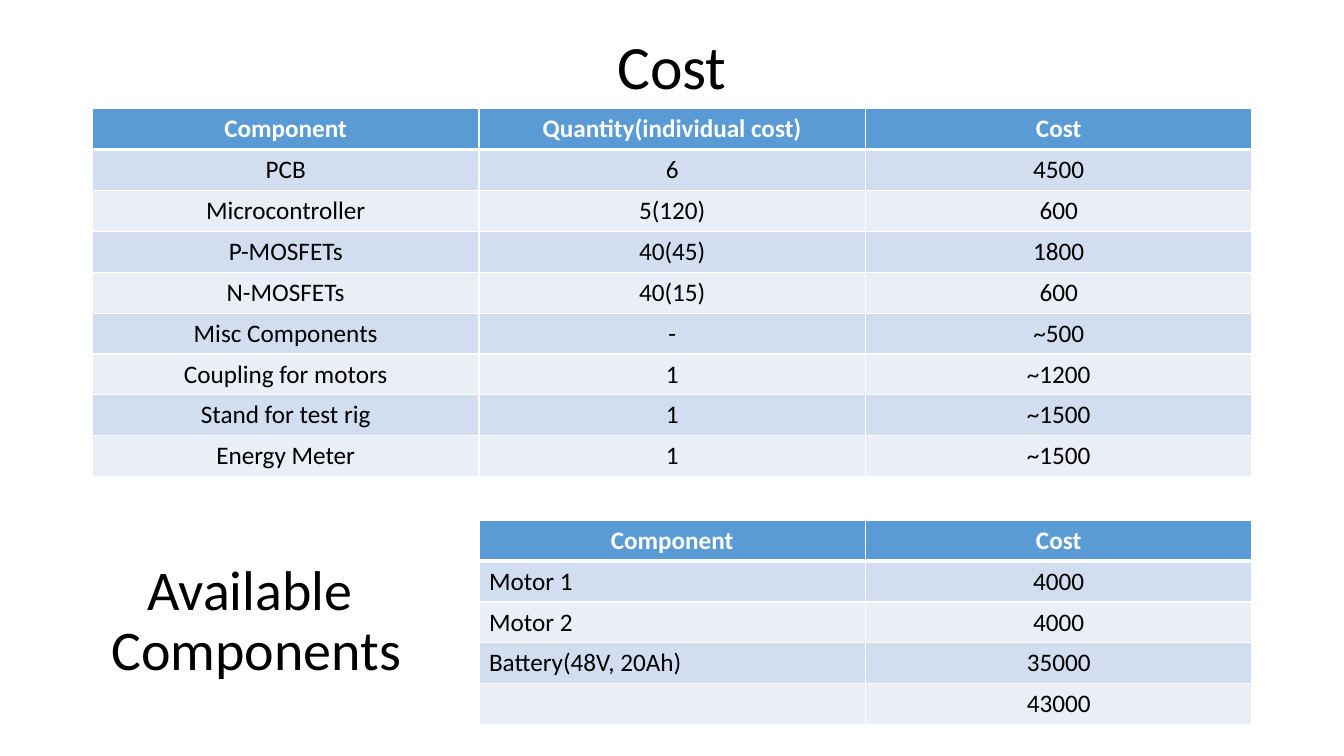
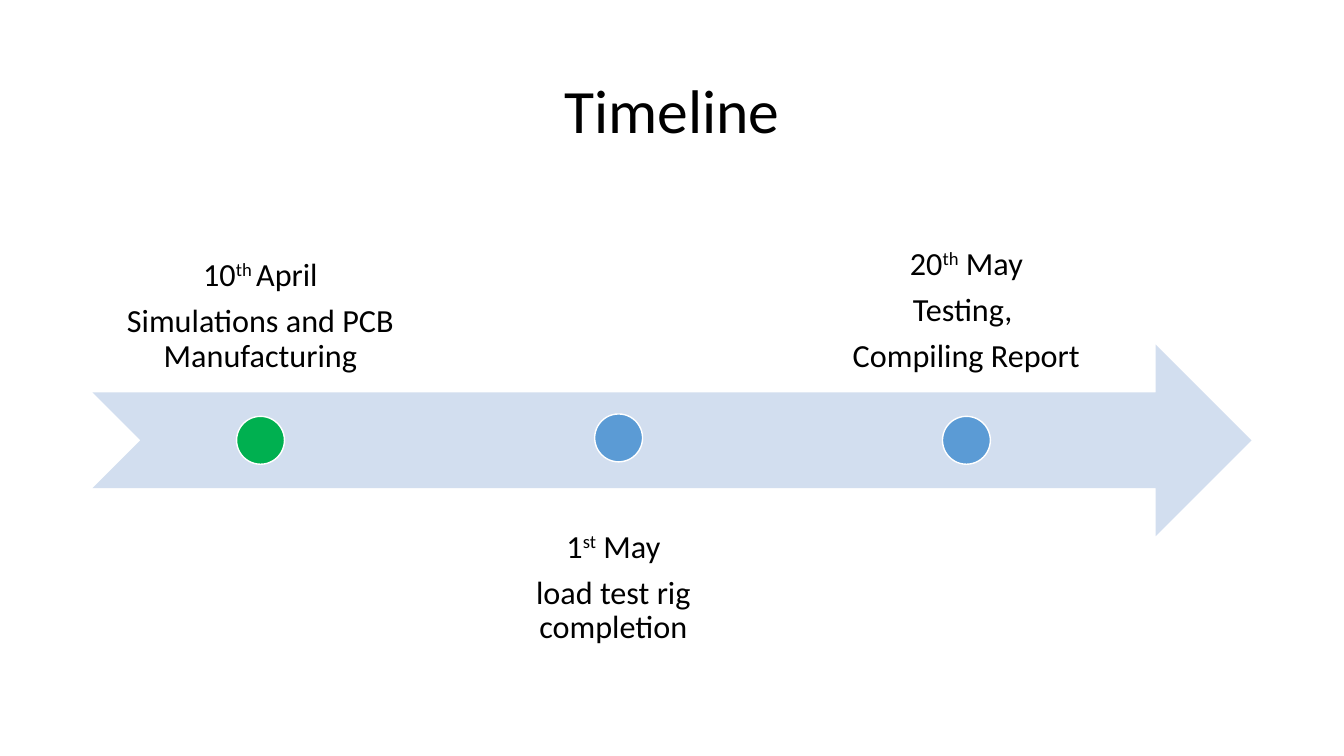
from lxml import etree
from pptx import Presentation
from pptx.dml.color import RGBColor
from pptx.enum import shapes, text
from pptx.oxml.ns import qn
from pptx.util import Cm, Pt

COLORS = {
    "text": "000000",
    "white": "FFFFFF",
    "accent": "5B9BD5",
    "band_dark": "D2DEEF",
    "band_light": "EAEFF7",
    "done": "00B050",
}
FONT = "Calibri"
LEFT, WIDTH = 2.33, 29.21
TITLE_H = 3.68
COL_W, ROW_H = 9.74, 1.03
CENTER, START = text.PP_ALIGN.CENTER, text.PP_ALIGN.LEFT
TOP, MIDDLE, BOTTOM = (text.MSO_ANCHOR.TOP, text.MSO_ANCHOR.MIDDLE,
                       text.MSO_ANCHOR.BOTTOM)

COSTS = [
    ("Component", "Quantity(individual cost)", "Cost"),
    ("PCB", "6", "4500"),
    ("Microcontroller", "5(120)", "600"),
    ("P-MOSFETs", "40(45)", "1800"),
    ("N-MOSFETs", "40(15)", "600"),
    ("Misc Components", "-", "~500"),
    ("Coupling for motors", "1", "~1200"),
    ("Stand for test rig", "1", "~1500"),
    ("Energy Meter", "1", "~1500"),
]
AVAILABLE = [
    ("Component", "Cost"),
    ("Motor 1", "4000"),
    ("Motor 2", "4000"),
    ("Battery(48V, 20Ah)", "35000"),
    ("", "43000"),
]
# day, ordinal, month, description lines, dot colour, dot shift (x, y)
MILESTONES = [
    ("10", "th ", "April", ["Simulations and PCB Manufacturing"], "done", (0, 0)),
    ("1", "st", " May", ["load test rig completion"], "accent", (0.13, -0.06)),
    ("20", "th", " May", ["Testing, ", "Compiling Report"], "accent", (0, 0)),
]


def rgb(name):
    return RGBColor.from_string(COLORS[name])


def style_paragraph(p, size, color="text", bold=False, align=CENTER):
    p.alignment = align
    p.font.name, p.font.size, p.font.bold = FONT, Pt(size), bold
    p.font.color.rgb = rgb(color)


def add_text(s, box, paragraphs, size, anchor=MIDDLE, inset=None, after=0):
    """Each paragraph is a list of (text, is_superscript) runs."""
    tf = s.shapes.add_textbox(*map(Cm, box)).text_frame
    tf.word_wrap = True
    tf.vertical_anchor = anchor
    if inset is not None:
        tf.margin_left = tf.margin_right = Cm(inset)
        tf.margin_top = tf.margin_bottom = Cm(inset)
    for i, runs in enumerate(paragraphs):
        p = tf.add_paragraph() if i else tf.paragraphs[0]
        style_paragraph(p, size)
        p.line_spacing = 0.9
        p.space_after = Pt(after)
        for content, superscript in runs:
            r = p.add_run()
            r.text = content
            if superscript:
                r._r.get_or_add_rPr().set("baseline", "30000")


def add_title(s, title, top):
    add_text(s, (LEFT, top, WIDTH, TITLE_H), [[(title, False)]], 44)


def add_solid(s, kind, box, fill, line=None):
    sp = s.shapes.add_shape(kind, *map(Cm, box))
    sp.shadow.inherit = False
    sp.fill.solid()
    sp.fill.fore_color.rgb = rgb(fill)
    if line:
        sp.line.color.rgb = rgb(line)
        sp.line.width = Pt(1)
    else:
        sp.line.fill.background()


def set_borders(cell, bottom):
    tcPr = cell._tc.get_or_add_tcPr()
    for i, (side, width) in enumerate(
            [("lnL", 1), ("lnR", 1), ("lnT", 1), ("lnB", bottom)]):
        ln = etree.Element(qn(f"a:{side}"), w=str(Pt(width)))
        fill = etree.SubElement(ln, qn("a:solidFill"))
        etree.SubElement(fill, qn("a:srgbClr"), val=COLORS["white"])
        tcPr.insert(i, ln)


def add_cost_table(s, left, top, rows, first_align=CENTER):
    n_rows, n_cols = len(rows), len(rows[0])
    table = s.shapes.add_table(n_rows, n_cols, Cm(left), Cm(top),
                               Cm(COL_W * n_cols), Cm(ROW_H * n_rows)).table
    for i, row in enumerate(rows):
        table.rows[i].height = Cm(ROW_H)
        header = i == 0
        band = "accent" if header else "band_dark" if i % 2 else "band_light"
        for j, content in enumerate(row):
            cell = table.cell(i, j)
            cell.text = content
            cell.fill.solid()
            cell.fill.fore_color.rgb = rgb(band)
            align = first_align if j == 0 and not header else CENTER
            style_paragraph(cell.text_frame.paragraphs[0], 18,
                            "white" if header else "text", header, align)
            set_borders(cell, 3 if header else 1)


def add_timeline(s, left, top, width, height):
    """Arrow through the middle, labels alternately above and below it."""
    arrow_h, dot = 0.4 * height, 0.1 * height
    label_w = 0.29 * width
    add_solid(s, shapes.MSO_SHAPE.NOTCHED_RIGHT_ARROW,
              (left, top + 0.3 * height, width, arrow_h), "band_dark")
    for i, (day, ordinal, month, lines, color, (dx, dy)) in enumerate(MILESTONES):
        x = left + i * 1.05 * label_w
        below = i % 2 == 1
        y = top + (0.65 * height if below else 0)
        h = (0.34 if below else 0.4) * height
        date = [(day, False), (ordinal, True), (month, False)]
        add_text(s, (x, y, label_w, h), [date] + [[(t, False)] for t in lines],
                 23, TOP if below else BOTTOM, inset=0.46, after=8)
        add_solid(s, shapes.MSO_SHAPE.OVAL,
                  (x + (label_w - dot) / 2 + dx,
                   top + (height - dot) / 2 + dy, dot, dot), color, "white")


def build_cost_slide(s):
    add_title(s, "Cost", -0.08)
    add_cost_table(s, LEFT, 2.74, COSTS)
    add_cost_table(s, LEFT + COL_W, 13.11, AVAILABLE, START)
    add_text(s, (0.25, 13.84, 12.42, TITLE_H),
             [[("Available ", False)], [("Components", False)]], 40)


def build_timeline_slide(s):
    add_title(s, "Timeline", 1.02)
    add_timeline(s, LEFT, 5.06, WIDTH, 12.07)


def main():
    prs = Presentation()
    prs.slide_width, prs.slide_height = Cm(33.87), Cm(19.05)
    for build in (build_cost_slide, build_timeline_slide):
        build(prs.slides.add_slide(prs.slide_layouts[6]))
    prs.save("out.pptx")


if __name__ == "__main__":
    main()
